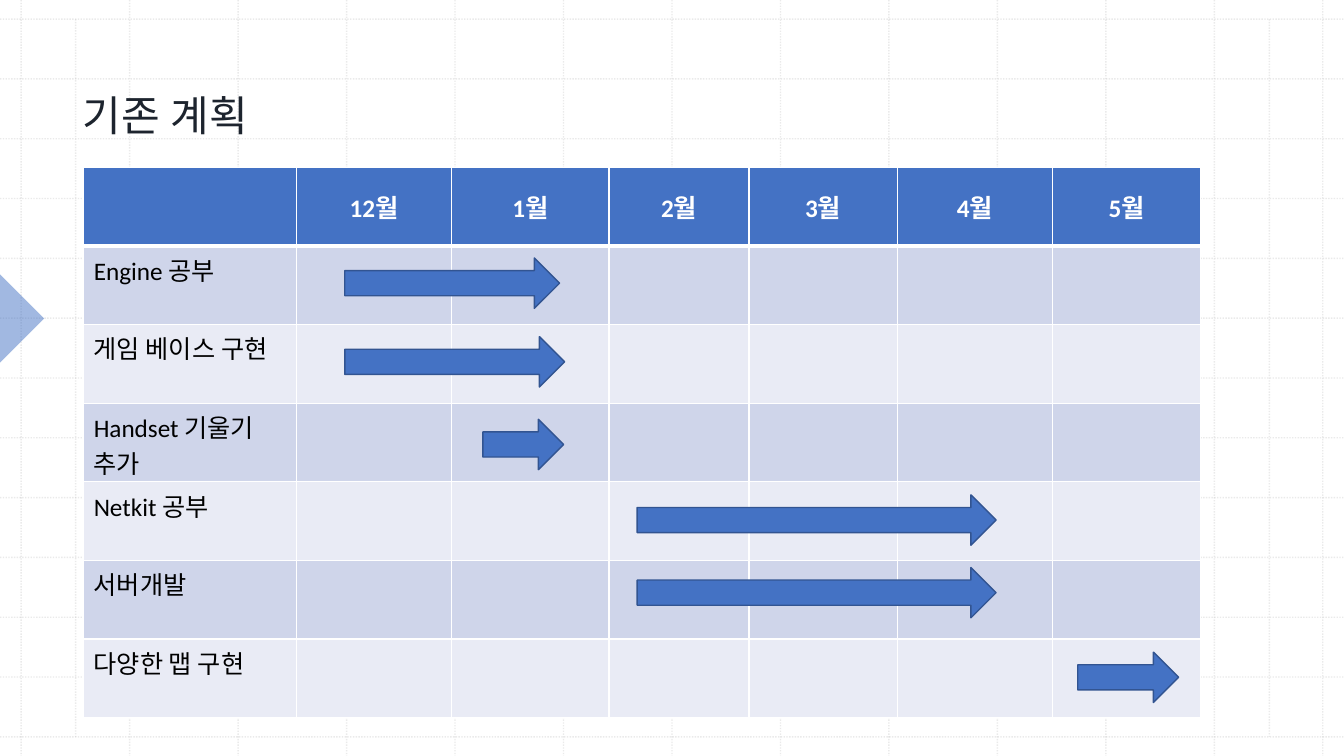
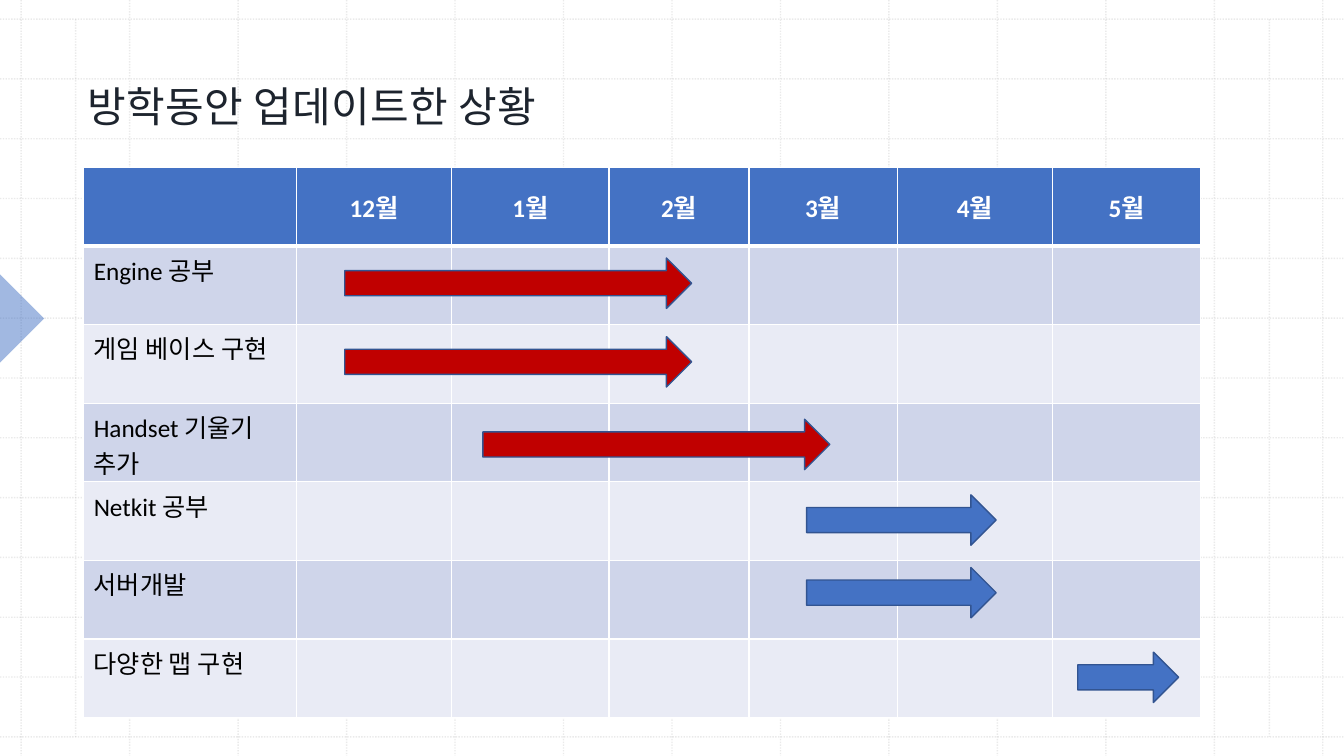
from lxml.etree import SubElement
from pptx import Presentation
from pptx.dml.color import RGBColor
from pptx.enum.dml import MSO_LINE
from pptx.enum.shapes import MSO_CONNECTOR, MSO_SHAPE
from pptx.enum.text import MSO_ANCHOR, PP_ALIGN
from pptx.oxml.ns import qn
from pptx.util import Inches, Pt

WIDE, HIGH = 13.33, 7.5
HEX = {"blue": "4472C4", "edge": "325491", "red": "C00000", "grid": "BCBCBC",
       "ink": "1D242E", "white": "FFFFFF", "black": "000000",
       "odd": "CFD5EA", "even": "E9EBF5"}
TITLE = {"name": "Calibri", "size": Pt(30)}
HEAD = {"name": "Calibri", "size": Pt(18), "bold": True}
BODY = {**HEAD, "bold": False}

MONTHS = ["", "12월", "1월", "2월", "3월", "4월", "5월"]
TASKS = ["Engine 공부", "게임 베이스 구현", "Handset 기울기 추가",
         "Netkit 공부", "서버개발", "다양한 맵 구현"]
COLS = [2.11, 1.54, 1.56, 1.39, 1.47, 1.54, 1.47]
ROW = 0.78
TOPS = [2.56, 3.34, 4.16, 4.91, 5.63, 6.47]

# Each bar: left, width, colour; one per task
PLAN = [(3.42, 2.13, "blue"), (3.42, 2.18, "blue"), (4.79, 0.8, "blue"),
        (6.32, 3.56, "blue"), (6.32, 3.56, "blue"), (10.69, 1, "blue")]
STATE = [(3.42, 3.44, "red"), (3.42, 3.44, "red"), (4.79, 3.44, "red"),
         (8, 1.88, "blue"), (8, 1.88, "blue"), (10.69, 1, "blue")]
SLIDES = [("기존 계획", (0.7, -0.4, 7.56, 2.99), PLAN),
          ("방학동안 업데이트한 상황", (0.75, -0.49, 5.08, 2.99), STATE)]


def tint(name):
    """Return the named colour."""
    return RGBColor.from_string(HEX[name])


def style(item, form):
    """Set attributes from a dict of format values."""
    for key, value in form.items():
        setattr(item, key, value)


def fade(shape, part):
    """Make the shape's plain colour show at a given percentage."""
    node = shape.element.find(".//" + qn("a:srgbClr"))
    SubElement(node, qn("a:alpha"), val=str(part * 1000))


def write(frame, text, form, ink):
    """Put one styled run in a text frame and return its paragraph."""
    para = frame.paragraphs[0]
    run = para.add_run()
    run.text = text
    style(run.font, form)
    run.font.color.rgb = tint(ink)
    return para


def rule(slide, *ends):
    """Draw one dotted grid line."""
    line = slide.shapes.add_connector(MSO_CONNECTOR.STRAIGHT, *map(Inches, ends))
    line.line.color.rgb = tint("grid")
    style(line.line, {"width": Pt(1), "dash_style": MSO_LINE.ROUND_DOT})
    fade(line, 30)
    SubElement(line.element.spPr, qn("a:effectLst"))
    return line


def shape(slide, kind, box, fill, edge=None):
    """Draw a flat preset shape."""
    item = slide.shapes.add_shape(kind, *map(Inches, box))
    item.shadow.inherit = False
    item.fill.solid()
    item.fill.fore_color.rgb = tint(fill)
    if edge:
        item.line.color.rgb = tint(edge)
        item.line.width = Pt(1)
    else:
        item.line.fill.background()
    return item


def backdrop(slide, layout):
    """Draw the grid and side mark, then hand them to the layout."""
    tree = layout.shapes.element
    for spot in list(layout.placeholders):
        tree.remove(spot.element)
    left, top = 0.21, 0.19
    right, base = 13.12, 7.31
    parts = []
    for i in range(13):
        x = left + i * (right - left) / 12
        y = top + i * (base - top) / 12
        parts += [rule(slide, x, 0, x, HIGH), rule(slide, 0, y, WIDE, y)]
    parts += [rule(slide, x, top, x, base) for x in (0.75, 12.59)]
    mark = shape(slide, MSO_SHAPE.RIGHT_TRIANGLE, (-0.31, 2.85, 0.62, 0.62), "blue")
    mark.rotation = 225
    fade(mark, 50)
    for part in parts + [mark]:
        tree.append(part.element)


def title(slide, text, box):
    """Add the slide title."""
    frame = slide.shapes.add_textbox(*map(Inches, box)).text_frame
    style(frame, {"word_wrap": True, "vertical_anchor": MSO_ANCHOR.MIDDLE,
                  "margin_left": Inches(0.12), "margin_right": Inches(0.12),
                  "margin_top": Inches(0.12), "margin_bottom": Inches(0.1)})
    para = write(frame, text, TITLE, "ink")
    style(para, {"line_spacing": 1.14, "space_before": Pt(10)})
    para.runs[0].font._element.set("spc", "30")


def border(cell, top, base):
    """Give a cell white edges of the given top and bottom weights."""
    props = cell._tc.get_or_add_tcPr()
    for i, (side, size) in enumerate(zip("LRTB", (1, 1, top, base))):
        line = SubElement(props, qn("a:ln" + side), w=str(Pt(size)))
        fill = SubElement(line, qn("a:solidFill"))
        SubElement(fill, qn("a:srgbClr"), val=HEX["white"])
        props.insert(i, line)


def table(slide):
    """Add the table of tasks by month."""
    rows = [MONTHS] + [[task] + [""] * (len(COLS) - 1) for task in TASKS]
    box = (0.83, 1.66, sum(COLS), ROW * len(rows))
    grid = slide.shapes.add_table(len(rows), len(COLS), *map(Inches, box)).table
    for col, width in zip(grid.columns, COLS):
        col.width = Inches(width)
    for r, texts in enumerate(rows):
        grid.rows[r].height = Inches(ROW)
        fill = "blue" if r == 0 else ("even", "odd")[r % 2]
        for c, text in enumerate(texts):
            cell = grid.cell(r, c)
            cell.fill.solid()
            cell.fill.fore_color.rgb = tint(fill)
            border(cell, 3 if r == 1 else 1, 3 if r == 0 else 1)
            if r == 0:
                cell.vertical_anchor = MSO_ANCHOR.MIDDLE
            if text and r == 0:
                write(cell.text_frame, text, HEAD, "white").alignment = PP_ALIGN.CENTER
            elif text:
                write(cell.text_frame, text, BODY, "black")


def bars(slide, spans):
    """Draw one arrow per task."""
    for top, (left, width, fill) in zip(TOPS, spans):
        shape(slide, MSO_SHAPE.RIGHT_ARROW, (left, top, width, 0.5), fill, "edge")


def main():
    """Build and save the slides."""
    deck = Presentation()
    style(deck, {"slide_width": Inches(WIDE), "slide_height": Inches(HIGH)})
    blank = deck.slide_layouts[6]
    for i, (text, box, spans) in enumerate(SLIDES):
        slide = deck.slides.add_slide(blank)
        if i == 0:
            backdrop(slide, blank)
        title(slide, text, box)
        table(slide)
        bars(slide, spans)
    deck.save("out.pptx")


main()
